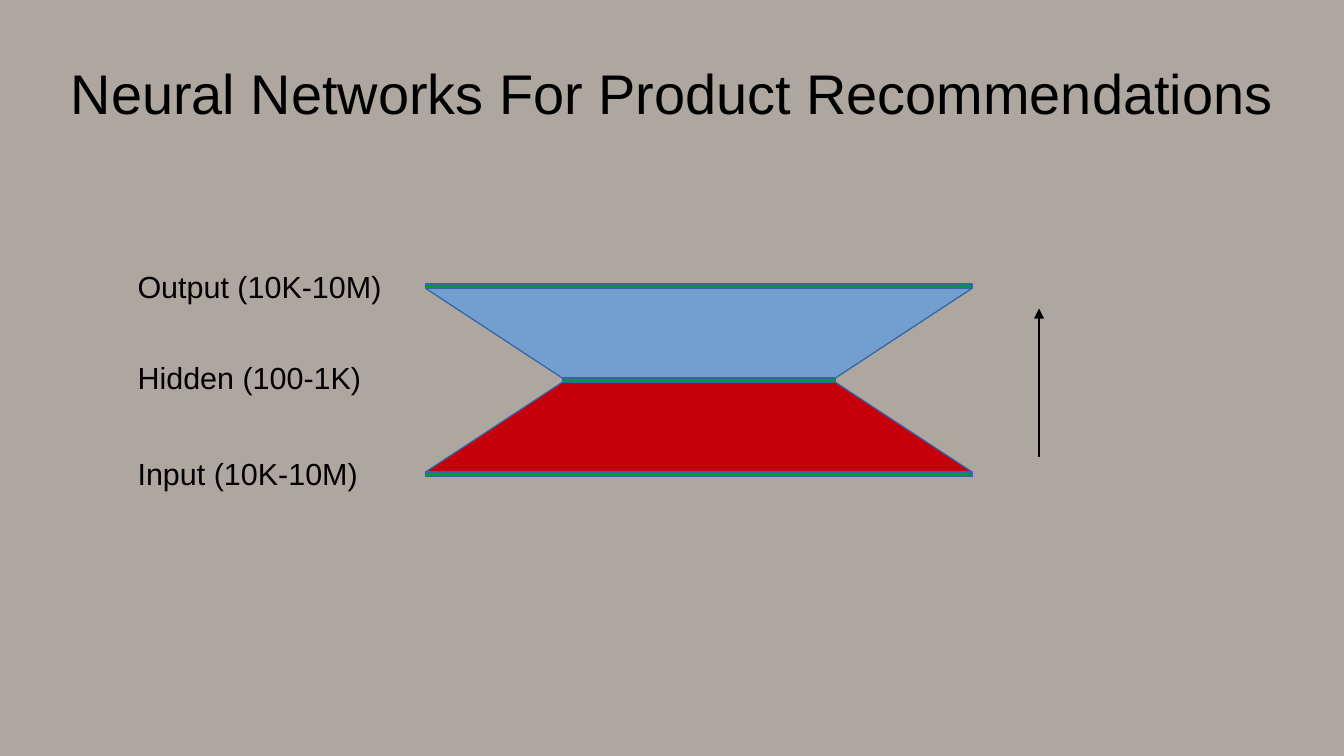
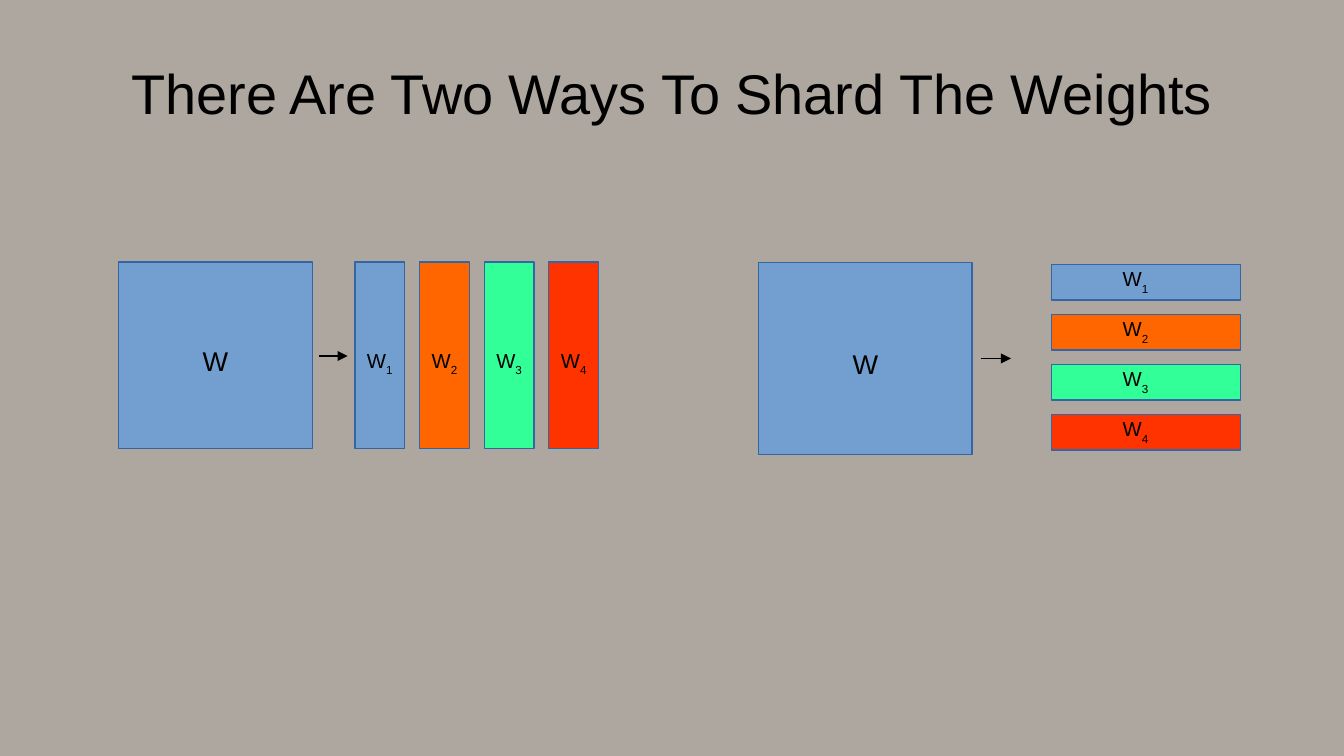
from lxml import etree
from pptx import Presentation
from pptx.dml.color import RGBColor
from pptx.enum.shapes import MSO_CONNECTOR, MSO_SHAPE
from pptx.enum.text import MSO_ANCHOR, MSO_AUTO_SIZE, PP_ALIGN
from pptx.oxml.ns import qn
from pptx.util import Inches, Pt

RECT, STRAIGHT = MSO_SHAPE.RECTANGLE, MSO_CONNECTOR.STRAIGHT
MIDDLE, CENTER, LEFT = MSO_ANCHOR.MIDDLE, PP_ALIGN.CENTER, PP_ALIGN.LEFT
NO_FIT = MSO_AUTO_SIZE.NONE
SLIDE_W, SLIDE_H = 11.02, 6.2
TITLE_ONLY = 5
FONT, LINE_SPACING = "Arial", 0.94
COLORS = {
    "background": "AEA79F", "text": "000000", "outline": "3465A4",
    "blue": "729FCF", "crimson": "C5000B", "layer": "009933",
    "orange": "FF6600", "mint": "33FF99", "red": "FF3300",
}

# Content: layers as (label, label top, width share), from top to bottom
NETWORK_TITLE = "Neural Networks For Product Recommendations"
LAYERS = [
    ("Output (10K-10M)", 2.16, 1),
    ("Hidden (100-1K)", 2.91, 0.5),
    ("Input (10K-10M)", 3.70, 1),
]
WEIGHT_COLORS = ["blue", "crimson"]
NETWORK = {"left": 3.49, "top": 2.33, "width": 4.48, "pitch": 0.77, "bar": 0.035}

# Content: whole matrix, arrow and first shard of each way; step is (dx, dy)
SHARD_TITLE = "There Are Two Ways To Shard The Weights"
SHARD_COLORS = ["blue", "orange", "mint", "red"]
SHARDINGS = [
    {"matrix": (0.97, 2.15, 1.59, 1.53), "arrow": (2.62, 2.92, 2.85, 2.92),
     "shard": (2.91, 2.15, 0.41, 1.53), "step": (0.53, 0),
     "insets": (0, 0.1, 0, 0)},
    {"matrix": (6.22, 2.15, 1.75, 1.58), "arrow": (8.04, 2.94, 8.29, 2.94),
     "shard": (8.62, 2.17, 1.55, 0.29), "step": (0, 0.41),
     "insets": (0, 0, 0.17, 0.04)},
]


def rgb(name):
    return RGBColor.from_string(COLORS[name])


def inches(*values):
    return [Inches(v) for v in values]


def write(frame, text, size, align, insets, subscript=""):
    frame.word_wrap = True
    frame.auto_size = NO_FIT
    (frame.margin_left, frame.margin_top,
     frame.margin_right, frame.margin_bottom) = inches(*insets)
    paragraph = frame.paragraphs[0]
    paragraph.alignment = align
    paragraph.line_spacing = LINE_SPACING
    for part in filter(None, (text, subscript)):
        run = paragraph.add_run()
        run.text = part
        run.font.name, run.font.size = FONT, Pt(size)
        run.font.color.rgb = rgb("text")
    if subscript:
        run.font._element.set("baseline", "-33000")


def style(shape, color):
    shape.shadow.inherit = False
    shape.fill.solid()
    shape.fill.fore_color.rgb = rgb(color)
    shape.line.color.rgb = rgb("outline")
    shape.line.width = Pt(0.75)


def add_box(shapes, box, color):
    shape = shapes.add_shape(RECT, *inches(*box))
    style(shape, color)
    return shape


def add_matrix(shapes, box, color, size, insets, subscript=""):
    frame = add_box(shapes, box, color).text_frame
    frame.vertical_anchor = MIDDLE
    write(frame, "W", size, CENTER, insets, subscript)


def add_arrow(shapes, ends):
    arrow = shapes.add_connector(STRAIGHT, *inches(*ends))
    arrow.line.color.rgb = rgb("text")
    arrow.line.width = Pt(0.75)
    line = arrow.line._get_or_add_ln()
    etree.SubElement(line, qn("a:tailEnd"), type="triangle")
    etree.SubElement(arrow._element.spPr, qn("a:effectLst"))


def add_slide(prs, title):
    slide = prs.slides.add_slide(prs.slide_layouts[TITLE_ONLY])
    frame = slide.shapes.title.text_frame
    frame.vertical_anchor = MIDDLE
    write(frame, title, 33, CENTER, (0, 0.03, 0, 0))
    return slide


def set_up_template(prs):
    prs.slide_width, prs.slide_height = inches(SLIDE_W, SLIDE_H)
    fill = prs.slide_master.background.fill
    fill.solid()
    fill.fore_color.rgb = rgb("background")
    title = prs.slide_layouts[TITLE_ONLY].placeholders[0]
    title.left, title.top, title.width, title.height = inches(
        0.55, 0.25, 0.9 * SLIDE_W, 1.03)


def build_network(prs):
    shapes = add_slide(prs, NETWORK_TITLE).shapes
    bar = NETWORK["bar"]
    center = NETWORK["left"] + NETWORK["width"] / 2
    bars = []
    for i, (_, _, share) in enumerate(LAYERS):
        width = NETWORK["width"] * share
        top = NETWORK["top"] + i * NETWORK["pitch"]
        bars.append((center - width / 2, top, width, bar))

    # Weights between neighbouring layers
    for upper, lower, color in zip(bars, bars[1:], WEIGHT_COLORS):
        top, bottom = upper[1] + bar, lower[1]
        corners = [(upper[0], top), (upper[0] + upper[2], top),
                   (lower[0] + lower[2], bottom), (lower[0], bottom)]
        points = [inches(*corner) for corner in corners]
        outline = shapes.build_freeform(*points[0])
        outline.add_line_segments(points[1:], close=True)
        style(outline.convert_to_shape(), color)

    # Layers and their labels
    for (label, label_top, _), box in zip(LAYERS, bars):
        add_box(shapes, box, "layer")
        label_box = shapes.add_textbox(*inches(1.03, label_top, 2.4, 0.38))
        write(label_box.text_frame, label, 18, LEFT, (0.1, 0.06, 0.1, 0.05))

    # Direction of the forward pass
    add_arrow(shapes, (8.52, 3.75, 8.52, 2.53))


def build_sharding(prs):
    slide = add_slide(prs, SHARD_TITLE)
    for way in SHARDINGS:
        shapes = slide.shapes.add_group_shape().shapes
        add_matrix(shapes, way["matrix"], "blue", 16, (0, 0.12, 0, 0))
        add_arrow(shapes, way["arrow"])
        left, top, width, height = way["shard"]
        dx, dy = way["step"]
        for i, color in enumerate(SHARD_COLORS):
            box = (left + i * dx, top + i * dy, width, height)
            add_matrix(shapes, box, color, 12, way["insets"], str(i + 1))


def main():
    prs = Presentation()
    set_up_template(prs)
    build_network(prs)
    build_sharding(prs)
    prs.save("out.pptx")


if __name__ == "__main__":
    main()
